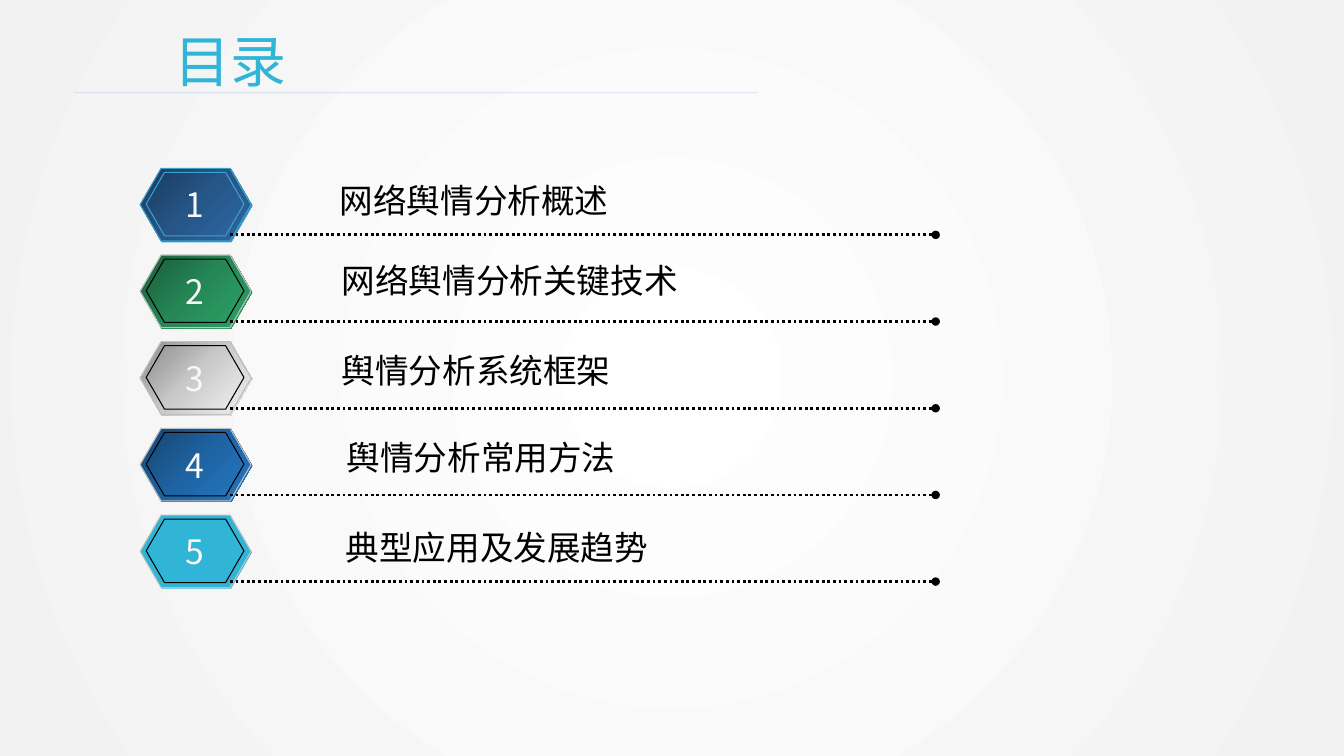
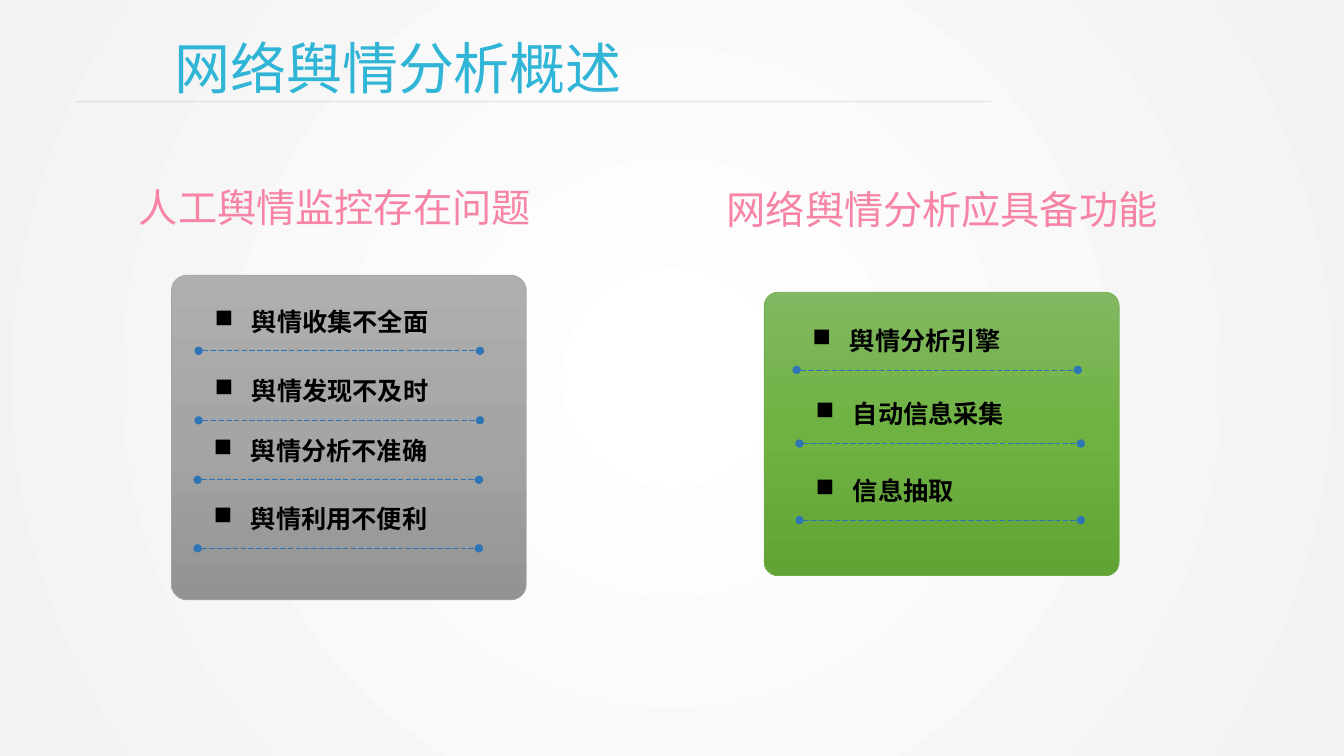
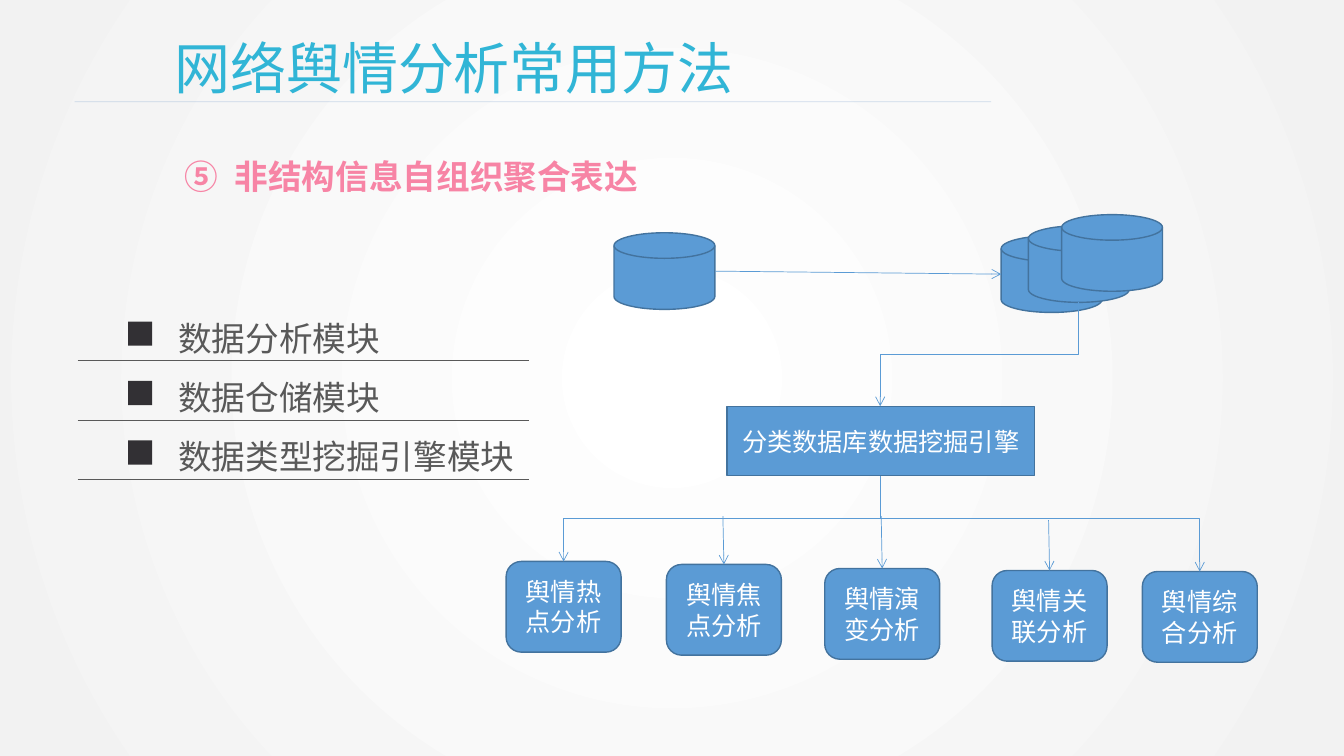
from dataclasses import dataclass

from lxml import etree
from pptx import Presentation
from pptx import util as u
from pptx.dml import color as col
from pptx.enum import dml, shapes, text
from pptx.oxml import ns, parse_xml

Inches = u.Inches
KIND = shapes.MSO_SHAPE
LINK = shapes.MSO_CONNECTOR
GROW = text.MSO_AUTO_SIZE.SHAPE_TO_FIT_TEXT
MID = text.MSO_ANCHOR.MIDDLE
MAIN = "http://schemas.openxmlformats.org/drawingml/2006/main"


@dataclass(frozen=True)
class Theme:
    font: str = "Noto Sans CJK SC"
    plain: str = "Calibri"
    cyan: str = "31B5D6"
    pink: str = "F784A5"
    black: str = "000000"
    white: str = "FFFFFF"
    pale: str = "F2F2F2"
    digit: str = "F8F8F8"
    rule: str = "4A7EBB"
    dots: str = "2E75B6"
    node: str = "5B9BD5"
    edge: str = "43739E"
    gray: str = "595959"
    dark: str = "323034"
    rim: str = "C0C0C0"
    glow: str = "3DA2CB"
    title: int = 40
    head: int = 28
    item: int = 24
    body: int = 18


T = Theme()


def rgb(code):
    return col.RGBColor.from_string(code)


def apply(obj, form):
    for name, value in form.items():
        setattr(obj, name, value)


def sub(host, tag, **attrs):
    node = etree.SubElement(host, ns.qn("a:" + tag))
    for name, value in attrs.items():
        node.set(name, str(value))
    return node


def blend(owner, fill, stops, tail):
    fill.gradient()
    grad = owner._element.find(".//" + ns.qn("a:gradFill"))
    for child in list(grad):
        grad.remove(child)
    stack = sub(grad, "gsLst")
    for i, code in enumerate(stops):
        stop = sub(stack, "gs", pos=100000 * i // (len(stops) - 1))
        sub(stop, "srgbClr", val=code)
    grad.append(parse_xml(tail))


def paint(shape, stops, turn):
    if len(stops) == 1:
        shape.fill.solid()
        shape.fill.fore_color.rgb = rgb(stops[0])
    else:
        tail = f'<a:lin xmlns:a="{MAIN}" ang="{turn * 60000}" scaled="0"/>'
        blend(shape, shape.fill, stops, tail)


def form(host, kind, box, stops, edge=None, width=1, turn=45, adj=None):
    shape = host.add_shape(kind, *map(Inches, box))
    shape.shadow.inherit = False
    paint(shape, stops, turn)
    if edge:
        shape.line.color.rgb = rgb(edge)
        shape.line.width = u.Pt(width)
    else:
        shape.line.fill.background()
    if adj:
        shape.adjustments[0] = adj
    return shape


def write(frame, words, size, color, font=T.font, bold=False, para=None, **look):
    apply(frame, look)
    line = frame.paragraphs[0]
    apply(line, para or {})
    run = line.add_run()
    run.text = words
    apply(run.font, dict(size=u.Pt(size), bold=bold, name=font))
    run.font.color.rgb = rgb(color)
    sub(run._r.get_or_add_rPr(), "ea", typeface=font)
    return line


def label(host, box, words, size, color, bold=False, para=None, **look):
    frame = host.add_textbox(*map(Inches, box)).text_frame
    look = dict(word_wrap=True, auto_size=GROW) | look
    return write(frame, words, size, color, bold=bold, para=para, **look)


def mark(line, indent, tag, **attrs):
    props = line._p.get_or_add_pPr()
    props.set("marL", str(Inches(indent)))
    props.set("indent", str(-Inches(indent)))
    sub(props, tag, **attrs)


def link(host, start, end, color, width=0.5, dash=None, head=None, tail=None,
         alpha=None, kind=LINK.STRAIGHT):
    wire = host.add_connector(kind, *map(Inches, start + end))
    wire.line.color.rgb = rgb(color)
    wire.line.width = u.Pt(width)
    if dash:
        wire.line.dash_style = dash
    props = wire._element.spPr
    line = props.find(ns.qn("a:ln"))
    if alpha:
        sub(line.find(".//" + ns.qn("a:srgbClr")), "alpha", val=alpha * 1000)
    for tag, cap in (("headEnd", head), ("tailEnd", tail)):
        if cap:
            sub(line, tag, type=cap)
    sub(props, "effectLst")
    return wire


def elbow(host, start, end, source, site, target, bend=0.5):
    wire = link(host, start, end, T.node, tail="arrow", kind=LINK.ELBOW)
    wire.begin_connect(source, site)
    wire.end_connect(target, 0)
    (x, y), (far, low) = start, end
    wide, high = low - y, abs(far - x)
    right = far > x
    props = wire._element.spPr
    frame = props.find(ns.qn("a:xfrm"))
    for name in ("flipH", "flipV"):
        frame.attrib.pop(name, None)
    frame.set("rot", str((270 if right else 90) * 60000))
    if right:
        frame.set("flipH", "1")
    apply(wire, dict(left=Inches((x + far - wide) / 2),
                     top=Inches((y + low - high) / 2),
                     width=Inches(wide), height=Inches(high)))
    geom = props.find(ns.qn("a:prstGeom"))
    for old in list(geom):
        geom.remove(old)
    sub(sub(geom, "avLst"), "gd", name="adj1", fmla=f"val {round(bend * 100000)}")


def page(deck, title, top=0.28, rule=1.01, end=9.83):
    host = deck.slides.add_slide(deck.slide_layouts[6]).shapes
    label(host, (1.63, top, 8.5, 0.77), title, T.title, T.cyan)
    link(host, (0.74, rule), (end, rule), T.rule, alpha=25)
    return host


def badge(host, y, number, stops, rims):
    group = host.add_group_shape().shapes
    boxes = ((1.4, y + 0.01, 1.1, 0.72), (1.39, y, 1.1, 0.72),
             (1.45, y + 0.04, 0.97, 0.63))
    for box, rim in zip(boxes, rims):
        form(group, KIND.HEXAGON, box, stops, rim, 0.75, adj=0.289)
    label(host, (1.73, y + 0.11, 0.4, 0.5), str(number), T.item, T.digit,
          para=dict(alignment=text.PP_ALIGN.CENTER), word_wrap=False)


def agenda(deck):
    host = page(deck, "目录", 0.21, 0.92, 7.51)
    plain = (None, T.rim, T.black)
    rows = (
        ("网络舆情分析概述", 3.27, 1.74, 2.89, ("1A3C5F", "255687", "2B66A1"), (T.glow,) * 3),
        ("网络舆情分析关键技术", 3.29, 2.53, 3.57, ("1A5F3C", "258756", "2BA166"), plain),
        ("舆情分析系统框架", 3.29, 3.42, 2.89, ("8F8E8E", "CBCACA", "F1F0F0"), plain),
        ("舆情分析常用方法", 3.34, 4.29, 2.89, ("164672", "1F63A2", "2476C0"), plain),
        ("典型应用及发展趋势", 3.33, 5.18, 3.23, (T.cyan,), plain),
    )
    for i, (words, x, y, wide, stops, rims) in enumerate(rows):
        top = 1.67 + 0.86 * i
        badge(host, top, i + 1, stops, rims)
        link(host, (2.28, top + 0.66), (9.28, top + 0.66), T.black, 2,
             dml.MSO_LINE.ROUND_DOT, tail="oval")
        label(host, (x, y, wide, 0.5), words, T.item, T.black, word_wrap=False)


def panel(host, head, place, box, stops, edge, rows):
    label(host, place, head, T.head, T.pink)
    form(host, KIND.ROUNDED_RECTANGLE, box, stops, edge, 0.5, 90, 0.048)
    for words, x, y in rows:
        link(host, (x, y), (x + 2.79, y), T.dots, dash=dml.MSO_LINE.LONG_DASH,
             head="oval", tail="oval")
        line = label(host, (x + 0.06, y - 0.52, 2.71, 0.45), words, T.body, T.black, True,
                     auto_size=text.MSO_AUTO_SIZE.NONE, vertical_anchor=MID)
        mark(line, 0.37, "buChar", char="■")


def survey(deck):
    host = page(deck, "网络舆情分析概述")
    panel(host, "人工舆情监控存在问题", (1.28, 1.77, 4.51, 0.57),
          (1.7, 2.73, 3.52, 3.22), ("AFAFAF", "A5A5A5", "939393"), "A5A5A5",
          (("舆情收集不全面", 1.97, 3.48), ("舆情发现不及时", 1.97, 4.17),
           ("舆情分析不准确", 1.96, 4.76), ("舆情利用不便利", 1.96, 5.44)))
    panel(host, "网络舆情分析应具备功能", (7.11, 1.79, 5.07, 0.57),
          (7.58, 2.9, 3.52, 2.81), ("81B861", "6FB242", "62A336"), "70AD47",
          (("舆情分析引擎", 7.9, 3.67), ("自动信息采集", 7.93, 4.4),
           ("信息抽取", 7.93, 5.16)))


def node(host, kind, box, words=None):
    shape = form(host, kind, box, (T.node,), T.edge)
    if words:
        write(shape.text_frame, words, T.body, T.white, T.plain,
              para=dict(alignment=text.PP_ALIGN.CENTER),
              word_wrap=True, vertical_anchor=MID)
    return shape


def flow(host):
    disks = [node(host, KIND.FLOWCHART_MAGNETIC_DISK, (x, y, 1, 0.76))
             for x, y in ((6.09, 2.31), (9.93, 2.34), (10.2, 2.24), (10.53, 2.13))]
    core = node(host, KIND.RECTANGLE, (7.21, 4.03, 3.05, 0.69), "分类数据库数据挖掘引擎")
    link(host, (7.09, 2.69), (9.93, 2.72), T.node, tail="arrow")
    elbow(host, (10.7, 3), (8.73, 4.03), disks[2], 3, core)
    leaves = (("热点", 5.02, 5.57, None), ("焦点", 6.61, 5.6, 5.12),
              ("演变", 8.18, 5.64, 5.12), ("关联", 9.84, 5.66, 5.16),
              ("综合", 11.33, 5.67, None))
    for topic, x, y, start in leaves:
        leaf = node(host, KIND.FLOWCHART_ALTERNATE_PROCESS, (x, y, 1.14, 0.9),
                    f"舆情{topic}分析")
        peak = x + 0.57
        if start:
            wire = link(host, (peak - 0.01, start), (peak, y), T.node, tail="arrow")
            wire.end_connect(leaf, 0)
        else:
            elbow(host, (8.73, 4.72), (peak, y), core, 2, leaf,
                  0.445 if peak > 8.73 else 0.5)


def method(deck):
    host = page(deck, "网络舆情分析常用方法")
    line = label(host, (1.73, 1.5, 4.92, 0.5), "非结构信息自组织聚合表达", T.item, T.pink, True)
    mark(line, 0.5, "buAutoNum", type="circleNumDbPlain", startAt=5)
    flow(host)
    for i, words in enumerate(("数据分析模块", "数据仓储模块", "数据类型挖掘引擎模块")):
        y = 3.58 + 0.59 * i
        link(host, (0.77, y), (5.25, y), T.gray)
        form(host, KIND.RECTANGLE, (1.27, y - 0.39, 0.24, 0.24), (T.dark,))
        label(host, (1.67, y - 0.58, 3.58, 0.56), words, T.item, T.gray,
              para=dict(line_spacing=1.25))


def main():
    deck = Presentation()
    apply(deck, dict(slide_width=Inches(13.33), slide_height=Inches(7.5)))
    master = deck.slide_master
    blend(master, master.background.fill, (T.white, T.pale),
          f'<a:path xmlns:a="{MAIN}" path="circle">'
          '<a:fillToRect l="50000" t="50000" r="50000" b="50000"/></a:path>')
    for build in (agenda, survey, method):
        build(deck)
    deck.save("out.pptx")


if __name__ == "__main__":
    main()
